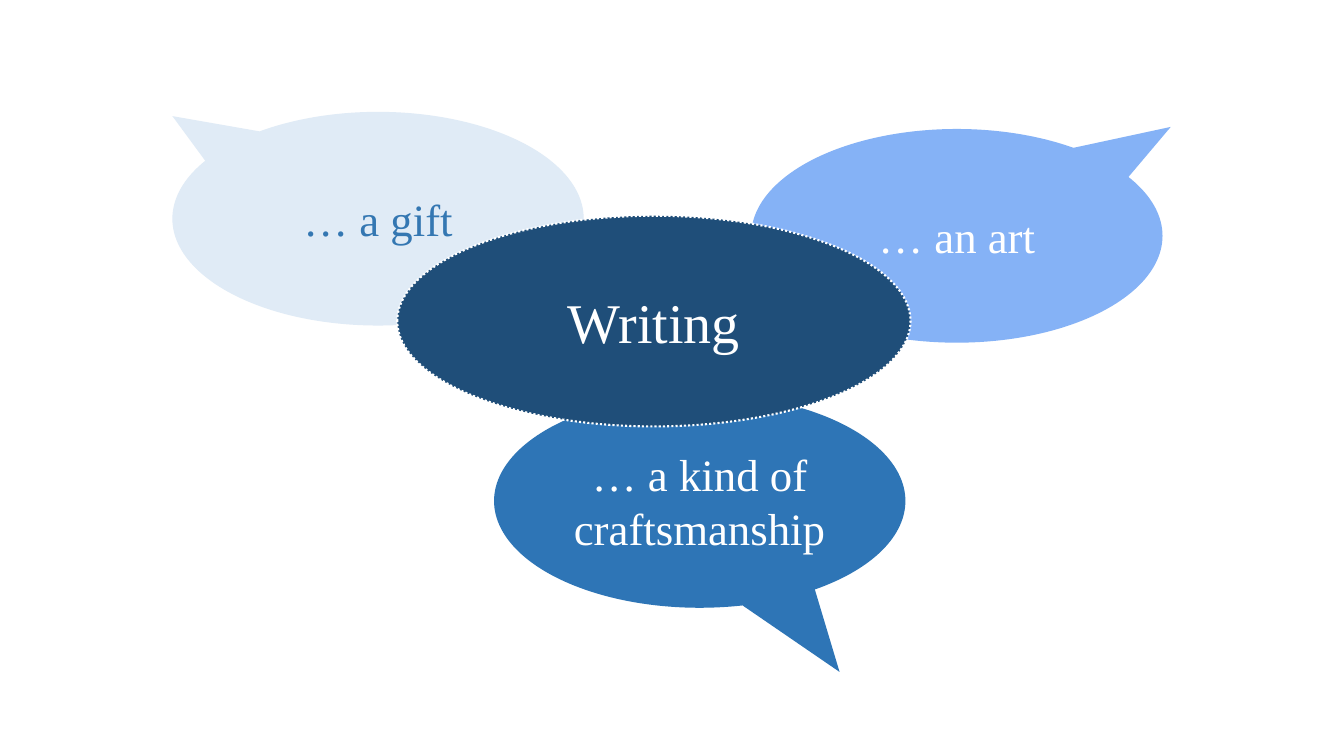
from pptx import Presentation
from pptx.dml.color import RGBColor
from pptx.enum.dml import MSO_LINE
from pptx.enum.shapes import MSO_SHAPE
from pptx.enum.text import MSO_ANCHOR, PP_ALIGN
from pptx.util import Inches, Pt


def color(value):
    return RGBColor.from_string(value)


def write(shape, text, size=32, ink="FFFFFF"):
    frame = shape.text_frame
    frame.word_wrap = True
    frame.vertical_anchor = MSO_ANCHOR.MIDDLE
    para = frame.paragraphs[0]
    para.alignment = PP_ALIGN.CENTER
    span = para.add_run()
    span.text = text
    span.font.name = "Times New Roman"
    span.font.size = Pt(size)
    span.font.color.rgb = color(ink)


deck = Presentation()
deck.slide_width = Inches(13.33)
deck.slide_height = Inches(7.5)
page = deck.slides.add_slide(deck.slide_layouts[6])

bubbles = [
    ("… a gift", 1.71, 1.11, (-0.5, -0.48), "E0EBF6", "3477B2"),
    ("… an art", 7.45, 1.28, (0.52, -0.51), "85B2F6", "FFFFFF"),
    ("… a kind of craftsmanship", 4.9, 3.91, (0.34, 0.8), "2E75B6", "FFFFFF"),
]
for text, left, top, tip, fill, ink in bubbles:
    bubble = page.shapes.add_shape(
        MSO_SHAPE.OVAL_CALLOUT, Inches(left), Inches(top), Inches(4.08), Inches(2.12)
    )
    bubble.shadow.inherit = False
    bubble.adjustments[0], bubble.adjustments[1] = tip
    bubble.fill.solid()
    bubble.fill.fore_color.rgb = color(fill)
    bubble.line.fill.background()
    write(bubble, text, ink=ink)

topic = page.shapes.add_shape(
    MSO_SHAPE.OVAL, Inches(3.94), Inches(2.14), Inches(5.09), Inches(2.09)
)
topic.shadow.inherit = False
topic.fill.solid()
topic.fill.fore_color.rgb = color("1F4E79")
topic.line.color.rgb = color("FFFFFF")
topic.line.width = Pt(1.5)
topic.line.dash_style = MSO_LINE.ROUND_DOT
write(topic, "Writing", size=40)

deck.save("out.pptx")
